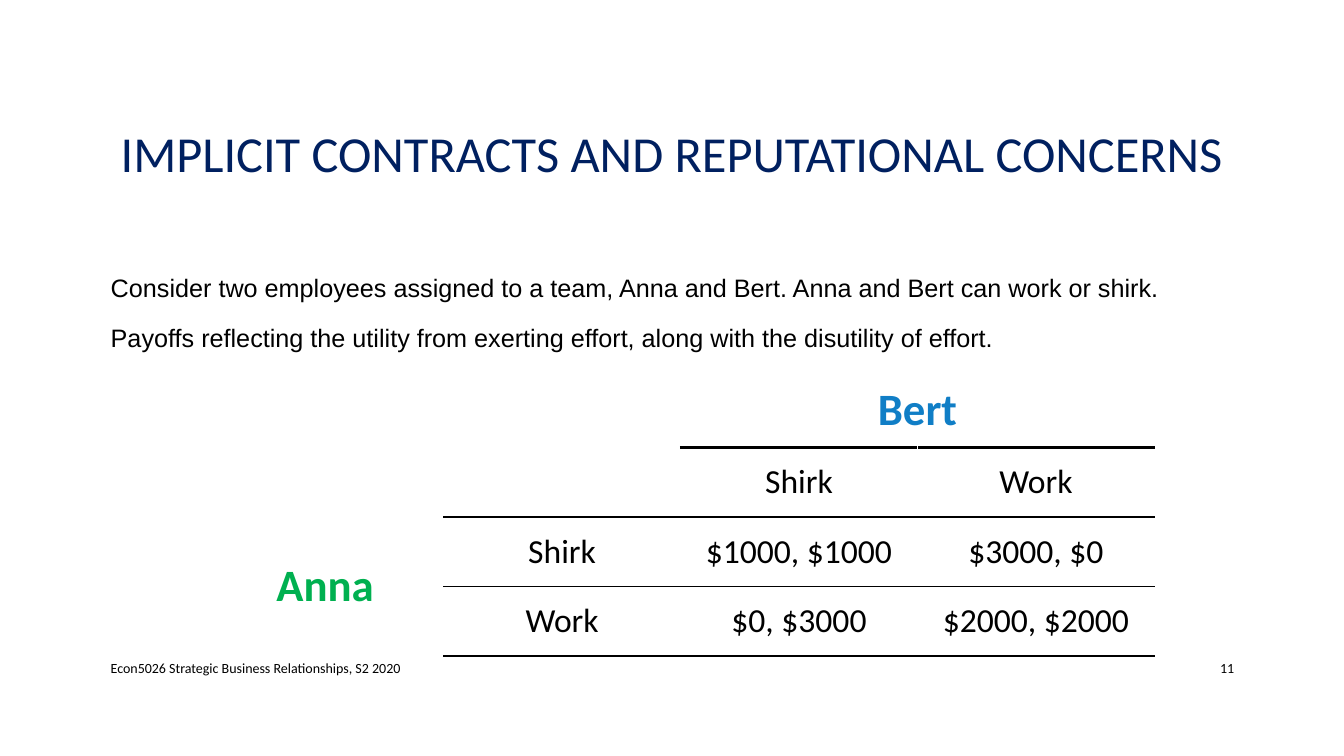
import pptx
import pptx.util
import pptx.dml.color
import pptx.enum.text
import lxml.etree

WIDTH, HEIGHT = 13.33, 7.5
MARGIN = 0.075 * WIDTH
CONTENT = 0.85 * WIDTH
COLUMN, ROW = 2.35, 0.69
COLOURS = {"navy": "002060", "black": "000000", "blue": "107EC6", "green": "00B050"}
ALIGN = pptx.enum.text.PP_ALIGN
ANCHOR = pptx.enum.text.MSO_ANCHOR
PAYOFFS = [
    ["", "", "Bert", ""],
    ["", "", "Shirk", "Work"],
    ["Anna", "Shirk", "$1000, $1000", "$3000, $0"],
    ["", "Work", "$0, $3000", "$2000, $2000"],
]
PLAYERS = {"Bert": "blue", "Anna": "green"}
RULES = [(1, 2, 2.25), (2, 1, 2.25), (3, 1, 1.5), (4, 1, 2.25)]


def write(frame, *lines, size=24, font="Calibri", colour="black", bold=False,
          align=ALIGN.LEFT, spacing=1.0, gap=0):
    for index, line in enumerate(lines):
        paragraph = frame.paragraphs[0] if index == 0 else frame.add_paragraph()
        paragraph.alignment = align
        paragraph.line_spacing = spacing
        paragraph.space_before = pptx.util.Pt(gap if index else 0)
        run = paragraph.add_run()
        run.text = line
        run.font.size = pptx.util.Pt(size)
        run.font.name = font
        run.font.bold = bold
        run.font.color.rgb = pptx.dml.color.RGBColor.from_string(COLOURS[colour])


def add_text(slide, left, top, width, height, *lines, anchor=ANCHOR.MIDDLE, **style):
    box = slide.shapes.add_textbox(*map(pptx.util.Inches, (left, top, width, height)))
    box.text_frame.word_wrap = True
    box.text_frame.vertical_anchor = anchor
    write(box.text_frame, *lines, **style)


def add_rule(cell, side, points):
    properties = cell._tc.get_or_add_tcPr()
    edge = lxml.etree.SubElement(
        properties, pptx.oxml.ns.qn(f"a:{side}"), w=str(pptx.util.Pt(points)))
    fill = lxml.etree.SubElement(edge, pptx.oxml.ns.qn("a:solidFill"))
    lxml.etree.SubElement(fill, pptx.oxml.ns.qn("a:srgbClr"), val=COLOURS["black"])


def add_payoffs(slide, left, top):
    size = (left, top, 4 * COLUMN, 4 * ROW)
    matrix = slide.shapes.add_table(4, 4, *map(pptx.util.Inches, size)).table
    matrix.first_row = matrix.horz_banding = False
    for column in matrix.columns:
        column.width = pptx.util.Inches(COLUMN)
    for row in matrix.rows:
        row.height = pptx.util.Inches(ROW)
    matrix.cell(0, 2).merge(matrix.cell(0, 3))
    matrix.cell(2, 0).merge(matrix.cell(3, 0))
    for r, entries in enumerate(PAYOFFS):
        for c, entry in enumerate(entries):
            cell = matrix.cell(r, c)
            for line, first, points in RULES:
                if c >= first and line == r:
                    add_rule(cell, "lnT", points)
            for line, first, points in RULES:
                if c >= first and line == r + 1:
                    add_rule(cell, "lnB", points)
            cell.fill.background()
            cell.vertical_anchor = ANCHOR.MIDDLE if r else ANCHOR.TOP
            if entry:
                player = entry in PLAYERS
                write(cell.text_frame, entry, size=32 if player else 24, bold=player,
                      colour=PLAYERS.get(entry, "black"), align=ALIGN.CENTER)


def main():
    deck = pptx.Presentation()
    deck.slide_width = pptx.util.Inches(WIDTH)
    deck.slide_height = pptx.util.Inches(HEIGHT)
    slide = deck.slides.add_slide(deck.slide_layouts[6])
    add_text(slide, MARGIN, 0.09 * HEIGHT, CONTENT, 1.75,
             "IMPLICIT CONTRACTS AND REPUTATIONAL CONCERNS",
             size=36, colour="navy", align=ALIGN.CENTER, spacing=0.9)
    add_text(slide, MARGIN, 2.59, CONTENT, 0.5 * HEIGHT,
             "Consider two employees assigned to a team, Anna and Bert. "
             "Anna and Bert can work or shirk.",
             "Payoffs reflecting the utility from exerting effort, "
             "along with the disutility of effort.",
             anchor=ANCHOR.TOP, size=18, font="Arial", spacing=1.2, gap=10)
    footer = 6.43
    add_text(slide, MARGIN, footer, 7.3, 0.4,
             "Econ5026 Strategic Business Relationships, S2 2020", size=10)
    add_text(slide, 11.5, footer, 0.84, 0.4, "11", size=10, align=ALIGN.RIGHT)
    add_payoffs(slide, 2.05, 0.5 * HEIGHT)
    deck.save("out.pptx")


if __name__ == "__main__":
    main()
